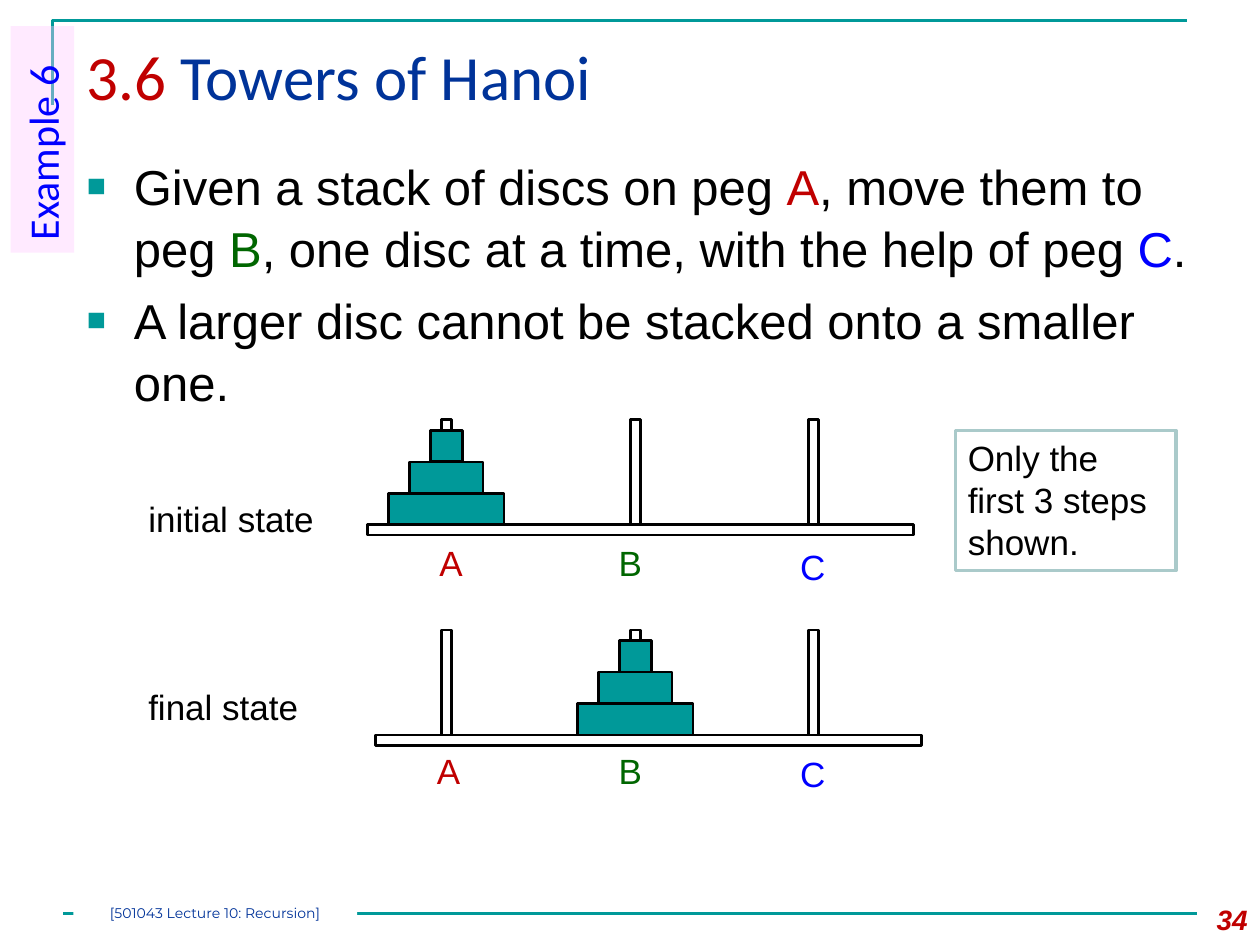
from lxml.etree import SubElement
from pptx import Presentation
from pptx.dml.color import RGBColor
from pptx.enum.shapes import MSO_CONNECTOR, MSO_SHAPE
from pptx.enum.text import MSO_ANCHOR, PP_ALIGN
from pptx.oxml.ns import qn
from pptx.util import Cm, Pt

TEAL, NAVY, BLACK, WHITE = "009999", "003399", "000000", "FFFFFF"
RED, GREEN, BLUE = "C00000", "006600", "0000FF"

TITLE = [("3.6 ", RED), ("Towers of Hanoi", NAVY)]
BULLETS = [
    [("Given a stack of discs on peg ", BLACK), ("A", RED), (", move them to peg ", BLACK),
     ("B", GREEN), (", one disc at a time, with the help of peg ", BLACK),
     ("C", BLUE), (".", BLACK)],
    [("A larger disc cannot be stacked onto a smaller one.", BLACK)],
]

PEG_CENTERS = {"A": 9.0, "B": 12.81, "C": 16.4}
PEG_COLORS = {"A": RED, "B": GREEN, "C": BLUE}
PEG_WIDTH, PEG_HEIGHT = 0.21, 2.12
BASE_WIDTH = 11.01
DISC_WIDTHS = [2.33, 1.48, 0.64]  # from the bottom up
DISC_HEIGHT = 0.635

STATES = [
    {"caption": "initial state", "caption_box": (2.74, 9.91, 3.84, 1.09),
     "base": (7.41, 10.58), "stack": "A",
     "labels": {"A": (8.61, 10.8), "B": (12.22, 10.8), "C": (15.88, 10.87)}},
    {"caption": "final state", "caption_box": (2.74, 13.69, 3.76, 1.12),
     "base": (7.57, 14.82), "stack": "B",
     "labels": {"A": (8.56, 14.99), "B": (12.22, 14.99), "C": (15.88, 15.04)}},
]


def rgb(color):
    return RGBColor.from_string(color)


def add_runs(paragraph, runs, size, font="Arial", bold=None, italic=None):
    for text, color in runs:
        run = paragraph.add_run()
        run.text = text
        run.font.name = font
        run.font.size = Pt(size)
        run.font.bold = bold
        run.font.italic = italic
        run.font.color.rgb = rgb(color)


def add_text(shapes, box, runs, size, wrap=True, anchor=MSO_ANCHOR.TOP,
             align=PP_ALIGN.LEFT, **style):
    shape = shapes.add_textbox(*map(Cm, box))
    fill_text(shape, runs, size, wrap, anchor, align, **style)


def fill_text(shape, runs, size, wrap=True, anchor=MSO_ANCHOR.TOP,
              align=PP_ALIGN.LEFT, **style):
    frame = shape.text_frame
    frame.word_wrap = wrap
    frame.vertical_anchor = anchor
    frame.paragraphs[0].alignment = align
    add_runs(frame.paragraphs[0], runs, size, **style)


def add_rectangle(shapes, box, fill=None, line=None, line_width=1.5):
    shape = shapes.add_shape(MSO_SHAPE.RECTANGLE, *map(Cm, box))
    shape.shadow.inherit = False
    if fill:
        shape.fill.solid()
        shape.fill.fore_color.rgb = rgb(fill)
    else:
        shape.fill.background()
    if line:
        shape.line.color.rgb = rgb(line)
        shape.line.width = Pt(line_width)
    else:
        shape.line.fill.background()
    return shape


def add_bullet(paragraph):
    """Give the paragraph a hanging teal square."""
    properties = paragraph._p.get_or_add_pPr()
    properties.set("marL", str(Cm(0.95)))
    properties.set("indent", str(-Cm(0.95)))
    color = SubElement(properties, qn("a:buClr"))
    SubElement(color, qn("a:srgbClr"), val=TEAL)
    SubElement(properties, qn("a:buSzPct"), val="65000")
    SubElement(properties, qn("a:buFont"), typeface="Arial")
    SubElement(properties, qn("a:buChar"), char="■")


def add_frame_lines(shapes):
    builder = shapes.build_freeform(Cm(1.06), Cm(2.12))
    builder.add_line_segments([(Cm(1.06), Cm(0.42)), (Cm(23.92), Cm(0.42))], close=False)
    corner = builder.convert_to_shape()
    corner.shadow.inherit = False
    corner.fill.background()
    rule = shapes.add_connector(MSO_CONNECTOR.STRAIGHT, Cm(1.27), Cm(18.41), Cm(24.13), Cm(18.41))
    SubElement(rule._element.spPr, qn("a:effectLst"))
    for shape in (corner, rule):
        shape.line.color.rgb = rgb(TEAL)
        shape.line.width = Pt(1.5)


def add_bullets(shapes):
    frame = shapes.add_textbox(Cm(1.5), Cm(2.97), Cm(23.5), Cm(5.28)).text_frame
    frame.word_wrap = True
    for index, runs in enumerate(BULLETS):
        paragraph = frame.add_paragraph() if index else frame.paragraphs[0]
        paragraph.line_spacing = 1.05
        paragraph.space_before = Pt(6 if index else 0)
        add_bullet(paragraph)
        add_runs(paragraph, runs, 28)


def add_state(slide, state):
    """Draw the pegs, base, disc stack and labels of one state as a group."""
    shapes = slide.shapes.add_group_shape().shapes
    base_left, base_top = state["base"]
    for center in PEG_CENTERS.values():
        add_rectangle(shapes, (center - PEG_WIDTH / 2, base_top - PEG_HEIGHT,
                               PEG_WIDTH, PEG_HEIGHT), line=BLACK)
    add_rectangle(shapes, (base_left, base_top, BASE_WIDTH, PEG_WIDTH), line=BLACK)
    center = PEG_CENTERS[state["stack"]]
    for level, width in enumerate(DISC_WIDTHS, 1):
        add_rectangle(shapes, (center - width / 2, base_top - level * DISC_HEIGHT,
                               width, DISC_HEIGHT), TEAL, BLACK)
    for peg, (left, top) in state["labels"].items():
        add_text(shapes, (left, top, 1, 1.09), [(peg, PEG_COLORS[peg])], 20, wrap=False)
    add_text(shapes, state["caption_box"], [(state["caption"], BLACK)], 20, wrap=False)


def main():
    presentation = Presentation()
    presentation.slide_width, presentation.slide_height = Cm(25.4), Cm(19.05)
    slide = presentation.slides.add_slide(presentation.slide_layouts[6])
    shapes = slide.shapes

    add_frame_lines(shapes)
    add_text(shapes, (1.5, 0.64, 22.63, 2.18), TITLE, 36, font="Calibri")
    add_text(shapes, (23.7, 18.03, 1.7, 1.02), [("34", RED)], 16, anchor=MSO_ANCHOR.MIDDLE,
             align=PP_ALIGN.RIGHT, bold=True, italic=True)
    add_bullets(shapes)
    for state in STATES:
        add_state(slide, state)

    note = add_rectangle(shapes, (19.26, 8.68, 4.45, 2.82), WHITE, "AACACA", 2)
    fill_text(note, [("Only the first 3 steps shown.", BLACK)], 20)

    tab = add_rectangle(shapes, (-1.43, 2.17, 4.57, 1.28), "FFCCFF")
    tab.rotation = 270
    tab_color = tab.fill._xPr.find(qn("a:solidFill")).find(qn("a:srgbClr"))
    SubElement(tab_color, qn("a:alpha"), val="40000")
    fill_text(tab, [("Example 6", BLUE)], 24, font="Calibri")

    footer = add_rectangle(shapes, (1.48, 18.2, 5.72, 0.42), WHITE)
    frame = footer.text_frame
    frame.margin_left = frame.margin_right = frame.margin_top = frame.margin_bottom = 0
    fill_text(footer, [("[501043 Lecture 10: Recursion]", NAVY)], 8, font="Montserrat",
              anchor=MSO_ANCHOR.MIDDLE, align=PP_ALIGN.CENTER)

    presentation.save("out.pptx")


if __name__ == "__main__":
    main()
